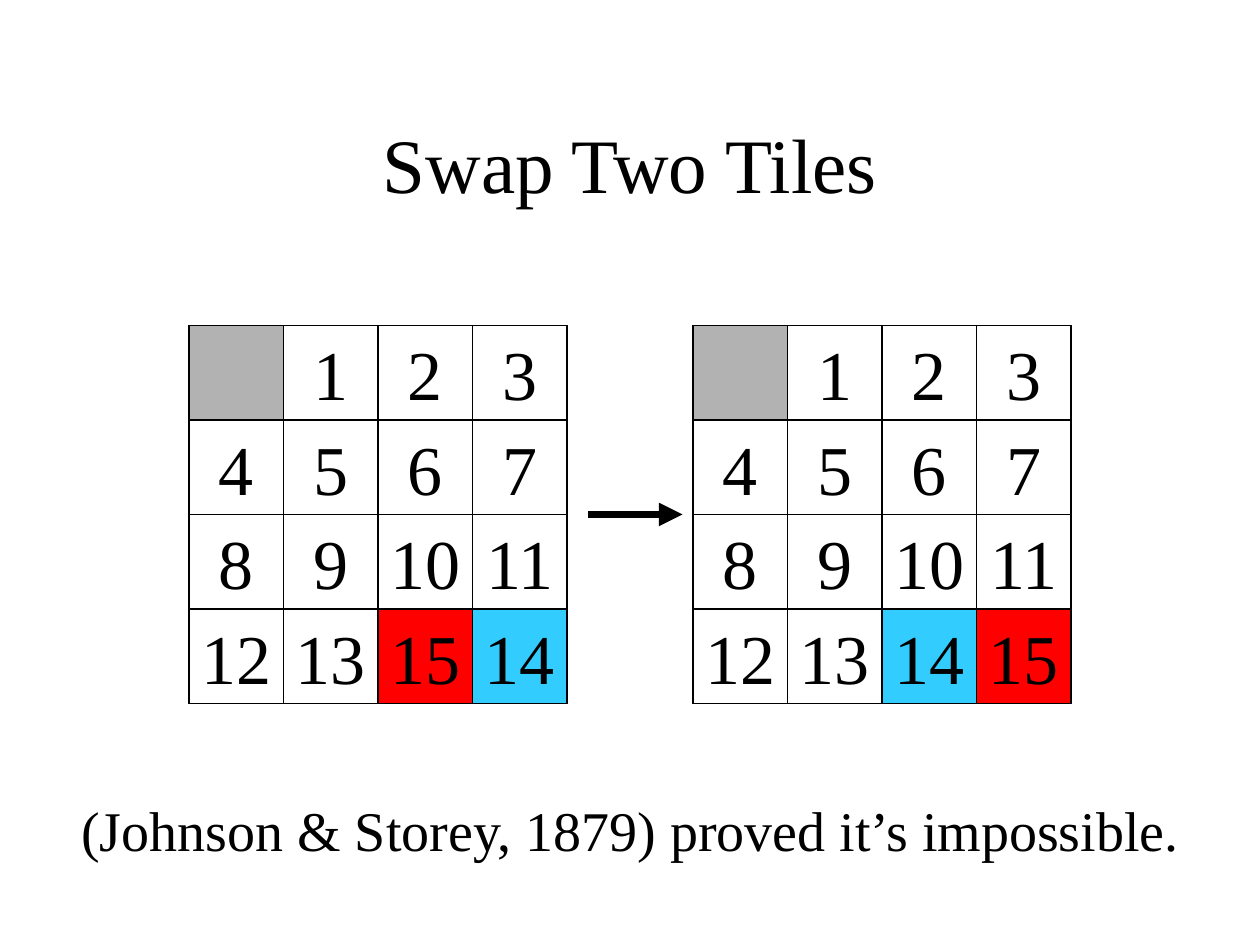
from lxml.etree import SubElement
from pptx import Presentation
from pptx.dml.color import RGBColor
from pptx.enum.shapes import MSO_CONNECTOR as Connector, MSO_SHAPE as Shape
from pptx.enum.text import MSO_ANCHOR as Anchor, PP_ALIGN as Align
from pptx.oxml.ns import qn
from pptx.util import Emu, Pt

FONT = "Times New Roman"
BLACK, GRAY, RED, BLUE = "000000", "B2B2B2", "FF0000", "33CCFF"
TILE_FILLS = {"": GRAY, "14": BLUE, "15": RED}
SIDE = 4
FIRST_TILES = ["", *map(str, range(1, 14))]


def px(length):
    """Turn px, 96 to the inch, into EMU."""
    return Emu(length * 9525)


def color(value):
    """Turn a hex string into a colour."""
    return RGBColor.from_string(value)


def set_text(shape, text, size, wrap=False):
    """Write one centred line of text in a shape."""
    text_frame = shape.text_frame
    text_frame.text = text
    text_frame.word_wrap = wrap
    text_frame.vertical_anchor = Anchor.MIDDLE
    paragraph = text_frame.paragraphs[0]
    paragraph.alignment = Align.CENTER
    for run in paragraph.runs:
        run.font.name = FONT
        run.font.size = Pt(size)
        run.font.color.rgb = color(BLACK)


def add_text(slide, box, text, size, wrap=False):
    """Add a text box."""
    set_text(slide.shapes.add_textbox(*map(px, box)), text, size, wrap)


def add_square(slide, left, top, size, fill=None):
    """Add an outlined square, filled if a colour is given."""
    shape = slide.shapes.add_shape(Shape.RECTANGLE, *map(px, (left, top, size, size)))
    shape.shadow.inherit = False
    if fill:
        shape.fill.solid()
        shape.fill.fore_color.rgb = color(fill)
    else:
        shape.fill.background()
    shape.line.color.rgb = color(BLACK)
    shape.line.width = Pt(0.75)
    return shape


def add_line(slide, start, end, width=0.75, arrow=False):
    """Add a straight line, with an arrowhead at its end if asked."""
    line = slide.shapes.add_connector(Connector.STRAIGHT, *map(px, (*start, *end)))
    line.line.color.rgb = color(BLACK)
    line.line.width = Pt(width)
    if arrow:
        SubElement(line.line._get_or_add_ln(), qn("a:tailEnd"), type="triangle")
    SubElement(line._element.spPr, qn("a:effectLst"))


def add_board(slide, left, top, size, labels):
    """Draw a puzzle board: frame, grid lines and tiles."""
    tile = size // SIDE
    right, bottom = left + size, top + size
    add_square(slide, left, top, size)
    for step in range(tile, size, tile):
        add_line(slide, (left + step, top), (left + step, bottom))
        add_line(slide, (left, top + step), (right, top + step))
    for index, label in enumerate(labels):
        row, column = divmod(index, SIDE)
        shape = add_square(slide, left + column * tile, top + row * tile, tile,
                           TILE_FILLS.get(label))
        if label:
            set_text(shape, label, 40)


def main():
    """Build the slide and save it."""
    presentation = Presentation()
    presentation.slide_width, presentation.slide_height = px(960), px(720)
    slide = presentation.slides.add_slide(presentation.slide_layouts[6])
    add_text(slide, (72, 64, 816, 120), "Swap Two Tiles", 44, wrap=True)
    add_board(slide, 528, 248, 288, FIRST_TILES + ["14", "15"])
    add_board(slide, 144, 248, 288, FIRST_TILES + ["15", "14"])
    add_line(slide, (448, 392), (520, 392), 4.5, arrow=True)
    add_text(slide, (50, 601, 861, 61),
             "(Johnson & Storey, 1879) proved it’s impossible.", 32)
    presentation.save("out.pptx")


if __name__ == "__main__":
    main()
